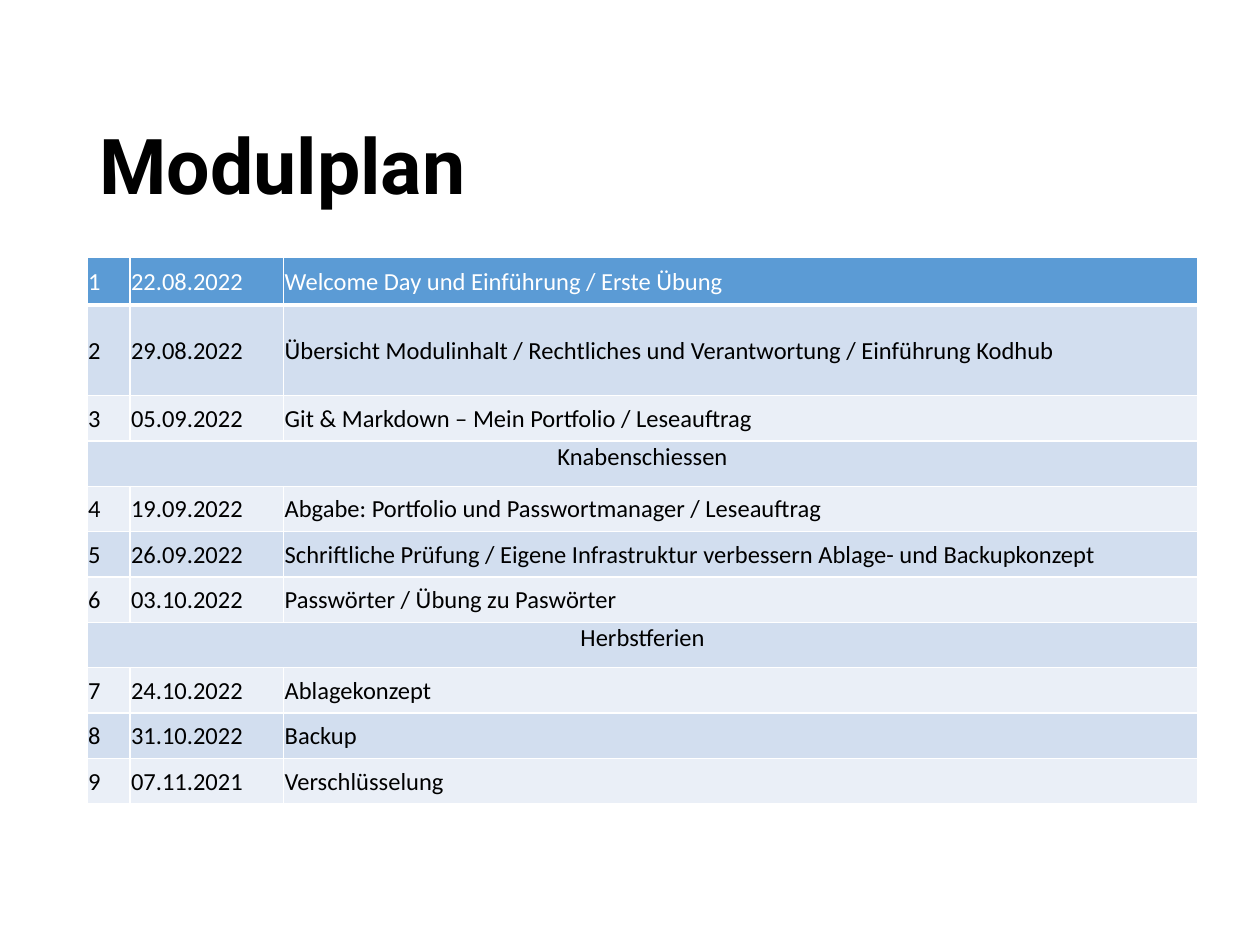
import dataclasses
import typing

import lxml.etree
import pptx
import pptx.dml.color
import pptx.enum.text
import pptx.oxml.ns
import pptx.util

Inches = pptx.util.Inches
Pt = pptx.util.Pt
Align = pptx.enum.text.PP_ALIGN
Anchor = pptx.enum.text.MSO_ANCHOR


@dataclasses.dataclass(frozen=True)
class Theme:
    black: str = "000000"
    white: str = "FFFFFF"
    head: str = "5B9BD5"
    bands: tuple[str, str] = ("EAEFF7", "D2DEEF")
    title_font: str = "Roboto"
    body_font: str = "Calibri"
    title_size: int = 44
    body_size: int = 14
    thin: int = 1
    thick: int = 3


@dataclasses.dataclass(frozen=True)
class Entry:
    topic: str
    date: str = ""  # an entry without a date is a holiday
    high: float = 0.36


THEME = Theme()
COLS = (0.34, 1.22, 7.26)
PLAN = (
    Entry("Welcome Day und Einführung / Erste Übung", "22.08.2022", 0.38),
    Entry("Übersicht Modulinhalt / Rechtliches und Verantwortung / Einführung Kodhub",
          "29.08.2022", 0.72),
    Entry("Git & Markdown – Mein Portfolio / Leseauftrag", "05.09.2022"),
    Entry("Knabenschiessen"),
    Entry("Abgabe: Portfolio und Passwortmanager / Leseauftrag", "19.09.2022"),
    Entry("Schriftliche Prüfung / Eigene Infrastruktur verbessern Ablage- und Backupkonzept",
          "26.09.2022"),
    Entry("Passwörter / Übung zu Paswörter", "03.10.2022"),
    Entry("Herbstferien"),
    Entry("Ablagekonzept", "24.10.2022"),
    Entry("Backup", "31.10.2022"),
    Entry("Verschlüsselung", "07.11.2021"),
)


def add_run(para: typing.Any, text: str, font: str, size: int,
            color: str, bold: bool = False) -> None:
    run = para.add_run()
    run.text = text
    run.font.name = font
    run.font.size = Pt(size)
    run.font.bold = bold
    run.font.color.rgb = pptx.dml.color.RGBColor.from_string(color)


def add_edges(cell: typing.Any, top: int, base: int) -> None:
    props = cell._tc.get_or_add_tcPr()
    qn = pptx.oxml.ns.qn
    widths = {"L": THEME.thin, "R": THEME.thin, "T": top, "B": base}
    for side, width in widths.items():
        line = lxml.etree.SubElement(props, qn(f"a:ln{side}"), w=str(Pt(width)))
        fill = lxml.etree.SubElement(line, qn("a:solidFill"))
        lxml.etree.SubElement(fill, qn("a:srgbClr"), val=THEME.white)


def style_cell(cell: typing.Any, row: int) -> None:
    top = THEME.thick if row == 1 else THEME.thin
    base = THEME.thick if row == 0 else THEME.thin
    add_edges(cell, top, base)
    color = THEME.bands[row % 2] if row else THEME.head
    cell.fill.solid()
    cell.fill.fore_color.rgb = pptx.dml.color.RGBColor.from_string(color)
    cell.margin_left = cell.margin_right = cell.margin_top = Inches(0.01)
    cell.margin_bottom = 0


def add_title(slide: typing.Any, text: str) -> None:
    box = slide.shapes.add_textbox(Inches(0.69), Inches(0.84), Inches(8.62), Inches(1.01))
    frame = box.text_frame
    frame.word_wrap = True
    frame.vertical_anchor = Anchor.MIDDLE
    para = frame.paragraphs[0]
    para.line_spacing = 0.9
    add_run(para, text, THEME.title_font, THEME.title_size, THEME.black, True)


def add_plan(slide: typing.Any, plan: tuple[Entry, ...]) -> None:
    table = slide.shapes.add_table(
        len(plan), len(COLS), Inches(0.69), Inches(2.04), Inches(8.82), Inches(4.38)
    ).table
    table.first_row = False
    table.horz_banding = False
    for col, width in zip(table.columns, COLS):
        col.width = Inches(width)

    count = 0
    for row, entry in enumerate(plan):
        table.rows[row].height = Inches(entry.high)
        cells = [table.cell(row, col) for col in range(len(COLS))]
        for cell in cells:
            style_cell(cell, row)
        if entry.date:
            count += 1
            texts = (str(count), entry.date, entry.topic)
        else:
            cells[0].merge(cells[-1])
            texts = (entry.topic,)
        for cell, text in zip(cells, texts):
            cell.vertical_anchor = Anchor.MIDDLE if entry.date else Anchor.TOP
            para = cell.text_frame.paragraphs[0]
            para.alignment = Align.LEFT if entry.date else Align.CENTER
            color = THEME.black if row else THEME.white
            add_run(para, text, THEME.body_font, THEME.body_size, color)


def main() -> None:
    deck = pptx.Presentation()
    deck.slide_width = Inches(10)
    deck.slide_height = Inches(7.5)
    slide = deck.slides.add_slide(deck.slide_layouts[6])

    # Heading
    add_title(slide, "Modulplan")
    # Schedule
    add_plan(slide, PLAN)

    deck.save("out.pptx")


if __name__ == "__main__":
    main()
